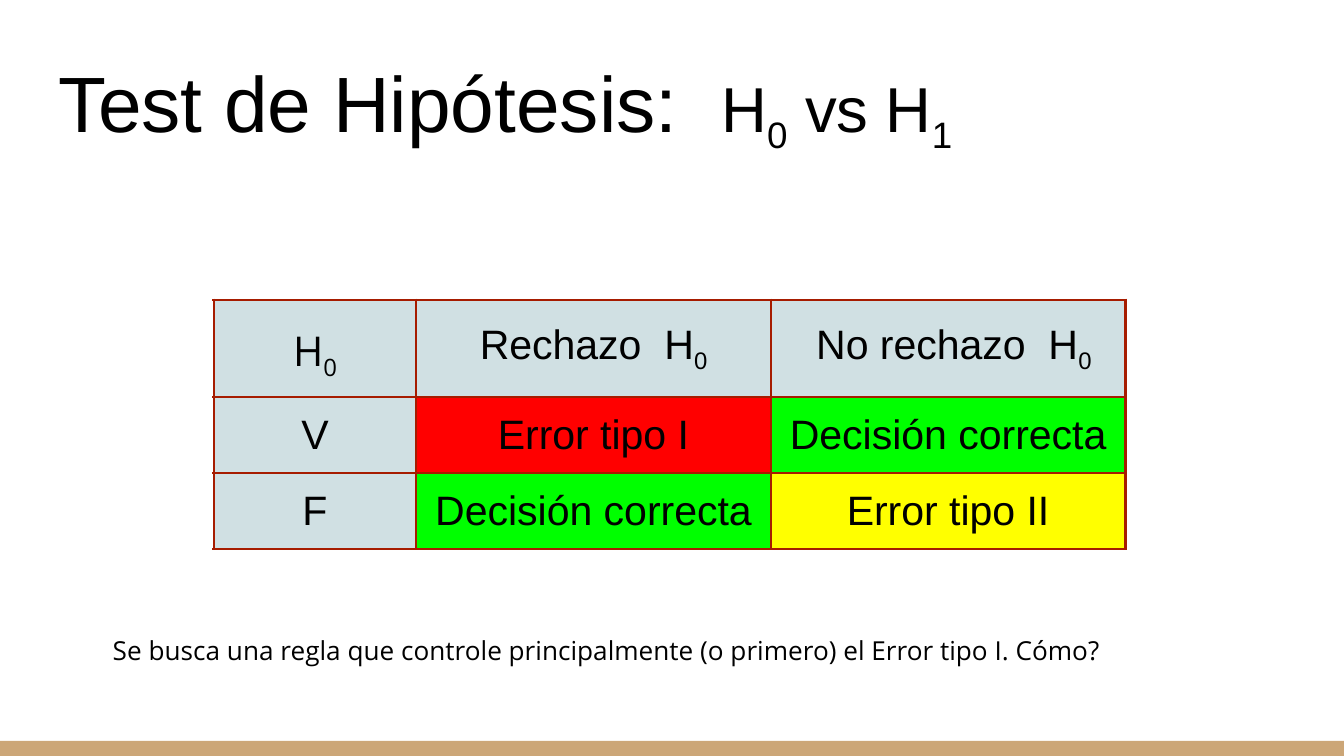
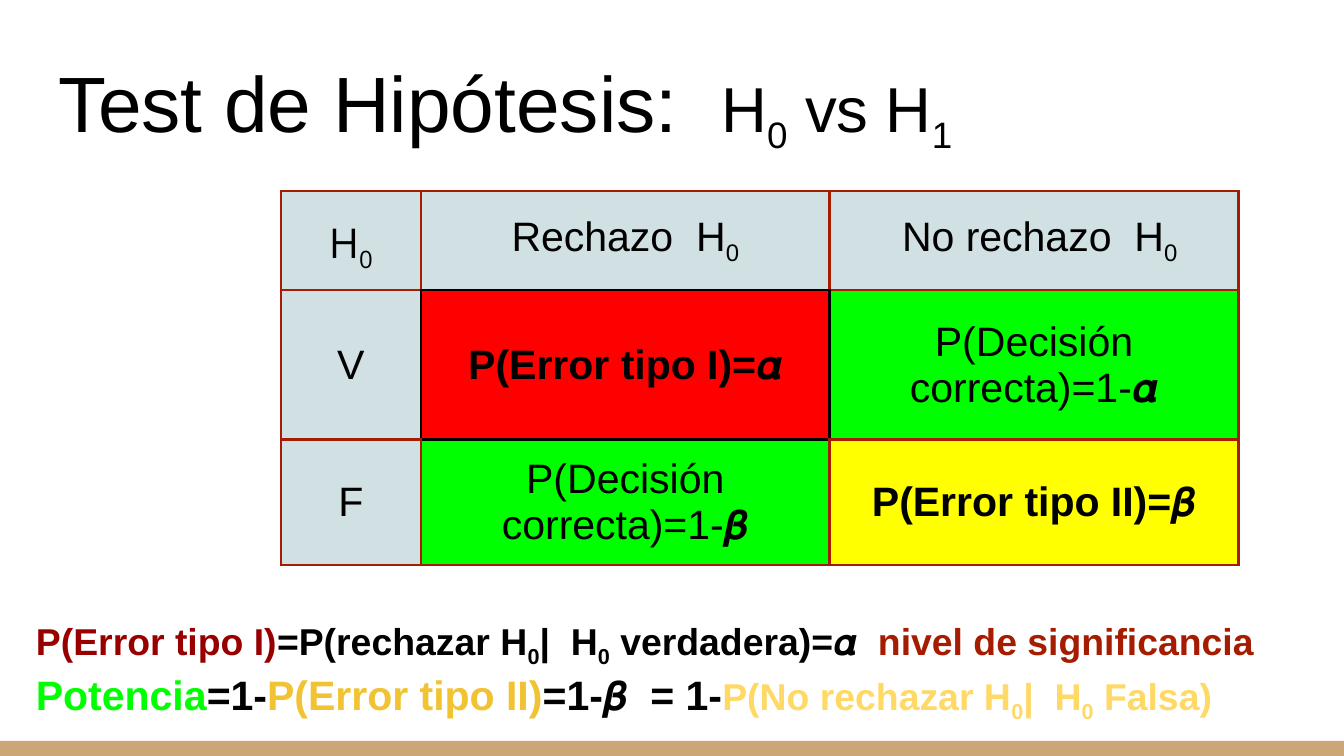
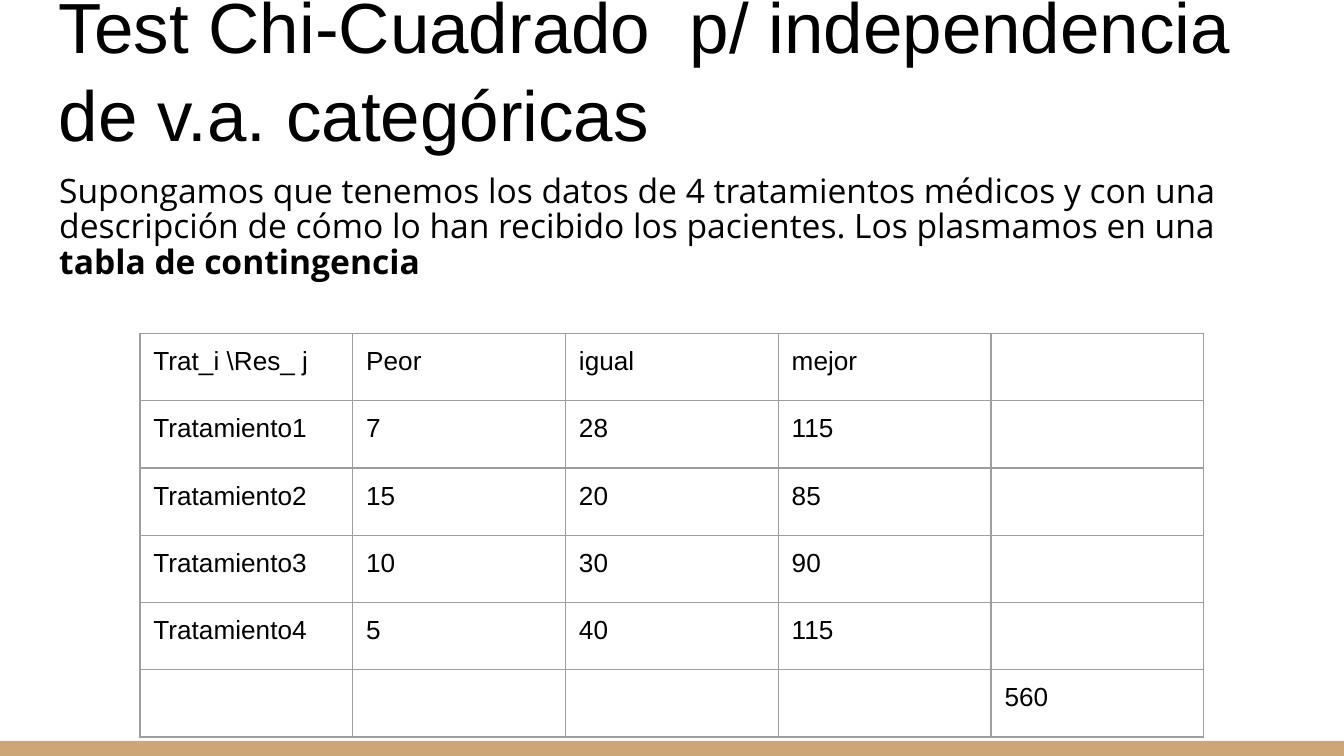
from itertools import product

from lxml.etree import SubElement
from pptx import Presentation
from pptx.dml.color import RGBColor
from pptx.enum.shapes import MSO_SHAPE
from pptx.enum.text import MSO_ANCHOR, PP_ALIGN
from pptx.oxml.ns import qn
from pptx.util import Pt

# Shared look
BLACK, TAN, BRICK, GREY = "000000", "CCA677", "A61C00", "9E9E9E"
PALE, RED, GREEN, YELLOW = "D0E0E3", "FF0000", "00FF00", "FFFF00"
DARK_RED, GOLD, LIGHT_GOLD = "980000", "F1C232", "FFD966"
SANS, BODY = "Arial", "Open Sans"
PAGE_WIDTH, PAGE_HEIGHT, BAND_HEIGHT = 720, 405, 8
INSET = 7.2
SUBSCRIPTS = {"₀": "0", "₁": "1"}
HYPOTHESIS_TITLE = [("Test de Hipótesis:  ", {}), ("H₀ vs H₁", {"size": 34})]


def color(code):
    return RGBColor.from_string(code)


# Text
def add_span(para, text, size, font, ink, bold, subscript=False):
    span = para.add_run()
    span.text = text
    span.font.size = Pt(size)
    span.font.name = font
    span.font.bold = bold
    span.font.color.rgb = color(ink)
    if subscript:
        span.font._element.set("baseline", "-25000")


def add_text(para, text, size=22, font=SANS, ink=BLACK, bold=False):
    """Write text, turning subscript digits into lowered spans."""
    plain = ""
    for letter in text:
        if letter in SUBSCRIPTS:
            add_span(para, plain, size, font, ink, bold)
            add_span(para, SUBSCRIPTS[letter], size, font, ink, bold, True)
            plain = ""
        else:
            plain += letter
    if plain:
        add_span(para, plain, size, font, ink, bold)


def add_box(page, left, top, width, height, paragraphs, anchor=MSO_ANCHOR.TOP,
            inset=INSET, spacing=None, **style):
    box = page.shapes.add_textbox(Pt(left), Pt(top), Pt(width), Pt(height))
    frame = box.text_frame
    frame.word_wrap = True
    frame.vertical_anchor = anchor
    frame.margin_left = frame.margin_right = Pt(inset)
    frame.margin_top = frame.margin_bottom = Pt(inset)
    for index, spans in enumerate(paragraphs):
        para = frame.add_paragraph() if index else frame.paragraphs[0]
        para.line_spacing = spacing
        for text, changes in spans:
            add_text(para, text, **{**style, **changes})


# Page with its title and bottom band
def add_page(deck, title, size=42):
    page = deck.slides.add_slide(deck.slide_layouts[6])
    band = page.shapes.add_shape(MSO_SHAPE.RECTANGLE, 0, Pt(PAGE_HEIGHT - BAND_HEIGHT),
                                 Pt(PAGE_WIDTH), Pt(BAND_HEIGHT))
    band.shadow.inherit = False
    band.fill.solid()
    band.fill.fore_color.rgb = color(TAN)
    band.line.fill.background()
    add_box(page, 24.5, 25.2, 671, 65.5, [title], anchor=MSO_ANCHOR.BOTTOM,
            spacing=1.04, size=size)
    return page


# Tables
def set_border(cell, side, ink, weight):
    line = SubElement(cell._tc.get_or_add_tcPr(), qn("a:ln" + side), w=str(Pt(weight)))
    fill = SubElement(line, qn("a:solidFill"))
    SubElement(fill, qn("a:srgbClr"), val=ink)


def add_grid(page, left, top, widths, heights, ink, weight, dark_edges=()):
    frame = page.shapes.add_table(len(heights), len(widths), Pt(left), Pt(top),
                                  Pt(sum(widths)), Pt(sum(heights)))
    table = frame.table
    table.first_row = table.horz_banding = False
    for column, width in zip(table.columns, widths):
        column.width = Pt(width)
    for row, height in zip(table.rows, heights):
        row.height = Pt(height)
    for row, column in product(range(len(heights)), range(len(widths))):
        cell = table.cell(row, column)
        cell.margin_left = cell.margin_right = Pt(INSET)
        cell.margin_top = cell.margin_bottom = Pt(INSET)
        for side in "LRTB":
            dark = (row, column, side) in dark_edges
            set_border(cell, side, BLACK if dark else ink, weight)
        cell.fill.background()
    return table


def add_decision_table(page, left, top, widths, heights, outcomes, dark_edges=()):
    table = add_grid(page, left, top, widths, heights, BRICK, 1.5, dark_edges)
    rows = [["H₀", "Rechazo  H₀", " No rechazo  H₀"],
            ["V", *outcomes[:2]],
            ["F", *outcomes[2:]]]
    fills = [[PALE] * 3, [PALE, RED, GREEN], [PALE, GREEN, YELLOW]]
    for row, column in product(range(3), range(3)):
        cell = table.cell(row, column)
        cell.vertical_anchor = MSO_ANCHOR.MIDDLE
        cell.fill.solid()
        cell.fill.fore_color.rgb = color(fills[row][column])
        para = cell.text_frame.paragraphs[0]
        para.alignment = PP_ALIGN.CENTER
        corner = row == column == 0
        if corner:
            para.line_spacing = 1.15
            para.space_after = Pt(16)
        text = rows[row][column]
        add_text(para, text, font=BODY if corner else SANS, bold=text.startswith("P(Error"))


def add_contingency_table(page):
    rows = [["Trat_i \\Res_ j", "Peor", "igual", "mejor", ""],
            ["Tratamiento1", "7", "28", "115", ""],
            ["Tratamiento2", "15", "20", "85", ""],
            ["Tratamiento3", "10", "30", "90", ""],
            ["Tratamiento4", "5", "40", "115", ""],
            ["", "", "", "", "560"]]
    table = add_grid(page, 75, 178.6, [114] * 5, [34.5] * 6, GREY, 0.75)
    for row, values in enumerate(rows):
        for column, value in enumerate(values):
            add_text(table.cell(row, column).text_frame.paragraphs[0], value, size=14)


def main():
    deck = Presentation()
    deck.slide_width, deck.slide_height = Pt(PAGE_WIDTH), Pt(PAGE_HEIGHT)

    # Decisions and errors
    page = add_page(deck, HYPOTHESIS_TITLE)
    add_decision_table(page, 114.5, 160.6, [108.5, 190, 190], [52, 39, 39],
                       ["Error tipo I", "Decisión correcta",
                        "Decisión correcta", "Error tipo II"])
    add_box(page, 53.3, 332.6, 605.5, 53.3,
            [[("Se busca una regla que controle principalmente (o primero) "
               "el Error tipo I. Cómo?", {})]], size=14, font=BODY)

    # Probabilities; every edge around the type I cell is dark
    page = add_page(deck, HYPOTHESIS_TITLE)
    dark_edges = {(1, 1, side) for side in "LRTB"}
    dark_edges |= {(0, 1, "B"), (1, 0, "R"), (1, 2, "L"), (2, 1, "T")}
    add_decision_table(page, 150.5, 102.2, [75, 219, 219], [53.3, 80, 63.4],
                       ["P(Error tipo I)=𝜶", "P(Decisión correcta)=1-𝜶",
                        "P(Decisión correcta)=1-𝜷", "P(Error tipo II)=𝜷"], dark_edges)
    significance = [("P(Error tipo I)", {"ink": DARK_RED}),
                    ("=P(rechazar H₀|  H₀ verdadera)=𝜶  ", {}),
                    ("nivel de significancia", {"ink": BRICK})]
    power = [("Potencia", {"ink": GREEN, "size": 22}),
             ("=1-", {"size": 22}),
             ("P(Error tipo II)", {"ink": GOLD, "size": 22}),
             ("=1-𝜷  = 1-", {"size": 22}),
             ("P(No rechazar H₀|  H₀ Falsa)", {"ink": LIGHT_GOLD})]
    add_box(page, 12.2, 324, 702.7, 74.2, [significance, power], size=20, bold=True)

    # Contingency table
    page = add_page(deck, [("Test Chi-Cuadrado  p/ independencia de v.a. categóricas", {})],
                    size=38)
    add_box(page, 25.9, 87.8, 669, 65.5,
            [[("Supongamos que tenemos los datos de 4 tratamientos médicos y con una "
               "descripción de cómo lo han recibido los pacientes. Los plasmamos en una ", {}),
              ("tabla de contingencia", {"bold": True})]],
            inset=5.8, spacing=0.88, size=18, font=BODY)
    add_contingency_table(page)

    deck.save("out.pptx")


if __name__ == "__main__":
    main()
